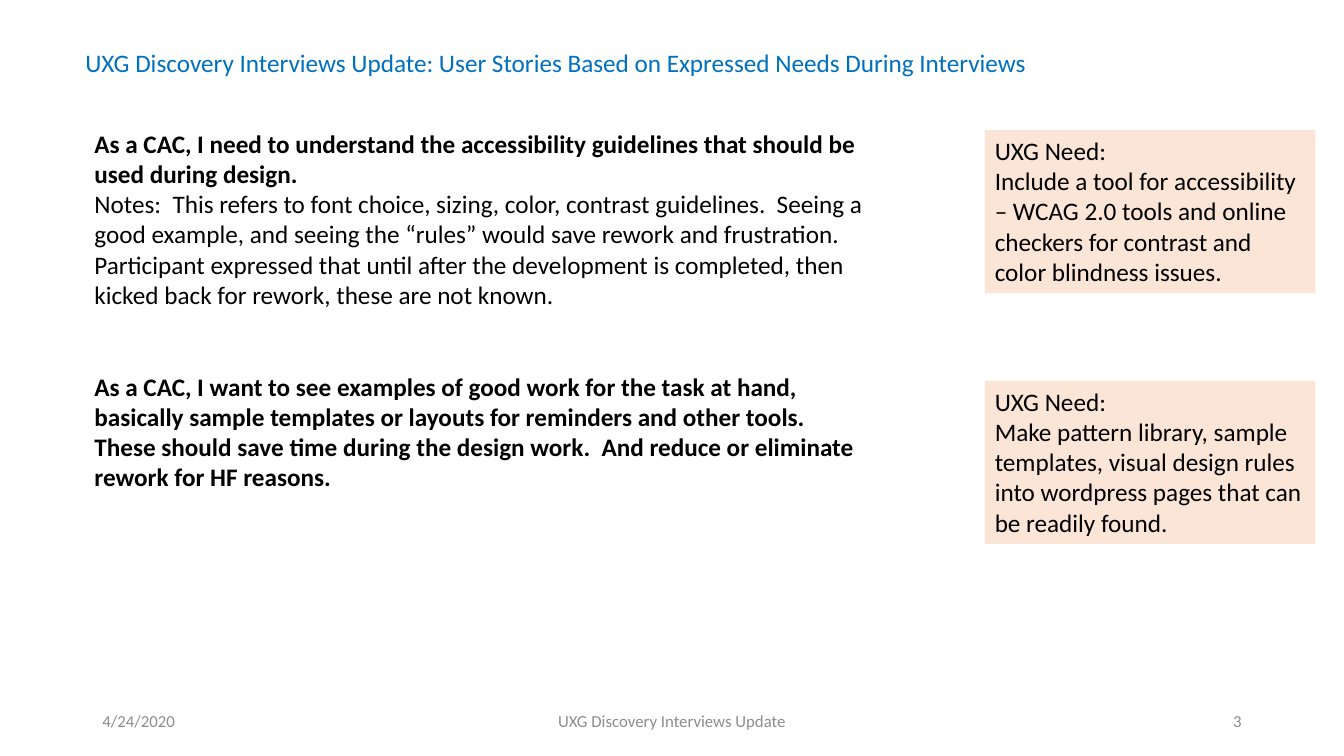
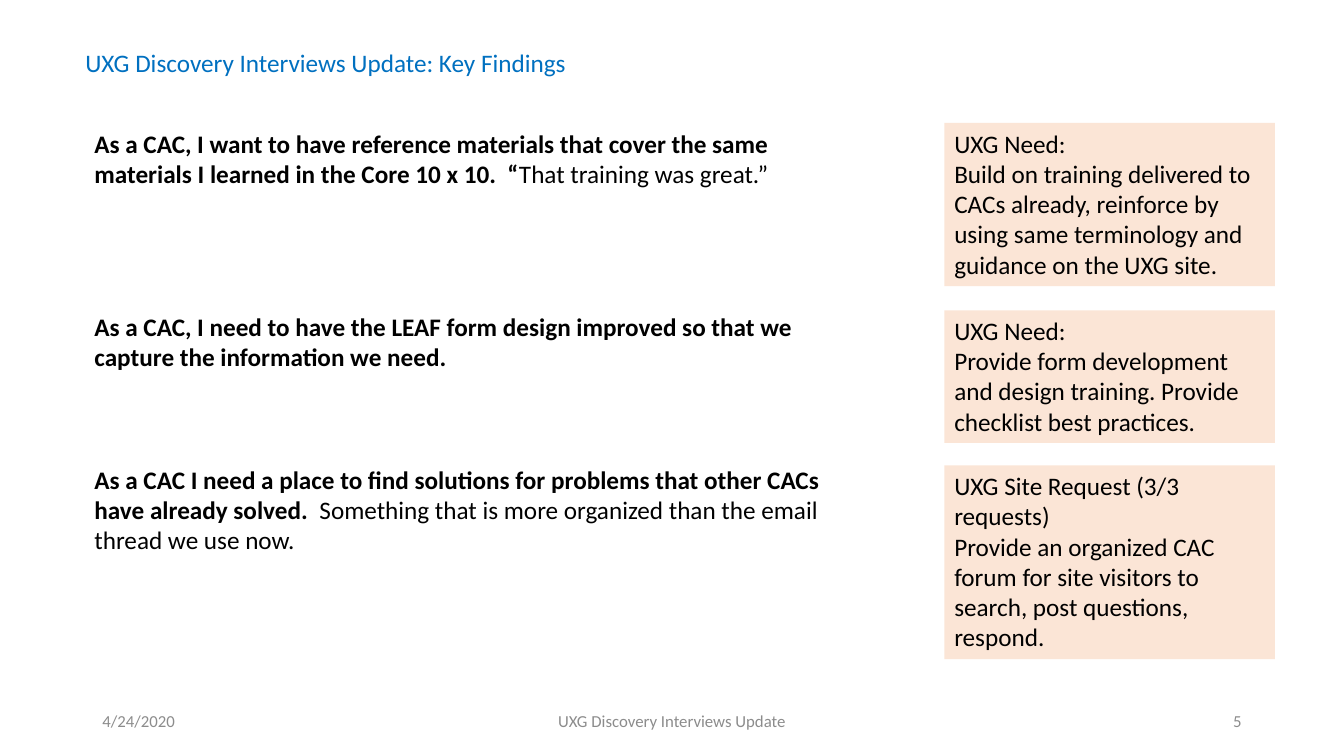
from pptx import Presentation
from pptx.dml.color import RGBColor
from pptx.enum.shapes import MSO_SHAPE
from pptx.enum.text import MSO_ANCHOR, PP_ALIGN
from pptx.util import Cm, Pt

FONT = "Calibri"
BLACK = RGBColor(0x00, 0x00, 0x00)
BLUE = RGBColor(0x00, 0x70, 0xC0)
GREY = RGBColor(0x8C, 0x8C, 0x8C)
PEACH = RGBColor(0xFB, 0xE5, 0xD6)

SLIDE_WIDTH, SLIDE_HEIGHT = 33.87, 19.05
LINE_POINTS = 21.97
NEED_WIDTH = 8.33

TITLE_BOX = (1.9, 1.07, 29.92, 1.02)
FOOTER_BOX = (2.33, 17.65, 29.21, 1.02)

SLIDES = [
    {
        "number": "3",
        "title": "UXG Discovery Interviews Update: User Stories Based on Expressed Needs During Interviews",
        "stories_box": (2.13, 3.1, 19.91, 11.02),
        "stories": [
            (0, [("As a CAC, I need to understand the accessibility guidelines that should be used during design.", True)]),
            (0, [("Notes:  This refers to font choice, sizing, color, contrast guidelines.  Seeing a good example, "
                  "and seeing the “rules” would save rework and frustration.  Participant expressed that until "
                  "after the development is completed, then kicked back for rework, these are not known.", False)]),
            (2, [("As a CAC, I want to see examples of good work for the task at hand, basically sample templates "
                  "or layouts for reminders and other tools.  These should save time during the design work.  "
                  "And reduce or eliminate rework for HF reasons.", True)]),
        ],
        "needs_left": 24.82,
        "needs": [
            (3.28, 4.11, "UXG Need:", "Include a tool for accessibility – WCAG 2.0 tools and online checkers "
                                      "for contrast and color blindness issues."),
            (9.6, 4.11, "UXG Need:", "Make pattern library, sample templates, visual design rules into wordpress "
                                     "pages that can be readily found."),
        ],
    },
    {
        "number": "5",
        "title": "UXG Discovery Interviews Update: Key Findings",
        "stories_box": (2.13, 3.1, 19.91, 13.34),
        "stories": [
            (0, [("As a CAC, I want to have reference materials that cover the same materials I learned in the "
                  "Core 10 x 10.  “", True), ("That training was great.”", False)]),
            (4, [("As a CAC, I need to have the LEAF form design improved so that we capture the information "
                  "we need.", True)]),
            (3, [("As a CAC I need a place to find solutions for problems that other CACs have already solved.  ", True),
                 ("Something that is more organized than the email thread we use now.", False)]),
        ],
        "needs_left": 23.8,
        "needs": [
            (3.1, 4.11, "UXG Need:", "Build on training delivered to CACs already, reinforce by using same "
                                     "terminology and guidance on the UXG site."),
            (7.82, 3.34, "UXG Need:", "Provide form development and design training. Provide checklist best "
                                      "practices."),
            (11.73, 4.88, "UXG Site Request (3/3 requests)", "Provide an organized CAC forum for site visitors "
                                                             "to search, post questions, respond."),
        ],
    },
]


def write(paragraph, text, size=18, color=BLACK, bold=False, align=PP_ALIGN.LEFT):
    """Add formatted text to a paragraph."""
    paragraph.alignment = align
    run = paragraph.add_run()
    run.text = text
    run.font.name = FONT
    run.font.size = Pt(size)
    run.font.color.rgb = color
    run.font.bold = bold


def add_frame(slide, box, anchor=MSO_ANCHOR.TOP):
    """Add a wrapping text box and return its text frame."""
    frame = slide.shapes.add_textbox(*map(Cm, box)).text_frame
    frame.word_wrap = True
    frame.vertical_anchor = anchor
    return frame


def paragraphs(frame, count):
    """Return the first paragraph of a frame followed by new ones."""
    return [frame.paragraphs[0]] + [frame.add_paragraph() for _ in range(count - 1)]


def add_footer(slide, box, number):
    """Place date, deck name and slide number along the footer band."""
    left, top, width, height = box
    side, middle = 7.62, 11.43
    parts = [
        (left, side, "4/24/2020", PP_ALIGN.LEFT),
        (left + (width - middle) / 2, middle, "UXG Discovery Interviews Update", PP_ALIGN.CENTER),
        (left + width - side, side, number, PP_ALIGN.RIGHT),
    ]
    for part_left, part_width, text, align in parts:
        frame = add_frame(slide, (part_left, top, part_width, height), MSO_ANCHOR.MIDDLE)
        write(frame.paragraphs[0], text, size=12, color=GREY, align=align)


def add_stories(slide, box, stories):
    """Place the user stories, each after its gap in text lines."""
    frame = add_frame(slide, box)
    for paragraph, (gap_lines, pieces) in zip(paragraphs(frame, len(stories)), stories):
        paragraph.space_before = Pt(gap_lines * LINE_POINTS)
        for text, bold in pieces:
            write(paragraph, text, bold=bold)


def add_need(slide, box, heading, detail):
    """Place a tinted card holding a heading and its detail."""
    card = slide.shapes.add_shape(MSO_SHAPE.RECTANGLE, *map(Cm, box))
    card.shadow.inherit = False
    card.fill.solid()
    card.fill.fore_color.rgb = PEACH
    card.line.fill.background()
    frame = card.text_frame
    frame.word_wrap = True
    frame.vertical_anchor = MSO_ANCHOR.TOP
    for paragraph, text in zip(paragraphs(frame, 2), (heading, detail)):
        write(paragraph, text)


def add_story_slide(deck, content):
    """Build one slide of user stories with their needs."""
    slide = deck.slides.add_slide(deck.slide_layouts[6])
    add_footer(slide, FOOTER_BOX, content["number"])
    write(add_frame(slide, TITLE_BOX).paragraphs[0], content["title"], color=BLUE)
    add_stories(slide, content["stories_box"], content["stories"])
    for top, height, heading, detail in content["needs"]:
        add_need(slide, (content["needs_left"], top, NEED_WIDTH, height), heading, detail)


def main():
    """Build and save the deck."""
    deck = Presentation()
    deck.slide_width, deck.slide_height = Cm(SLIDE_WIDTH), Cm(SLIDE_HEIGHT)
    for content in SLIDES:
        add_story_slide(deck, content)
    deck.save("out.pptx")


if __name__ == "__main__":
    main()
